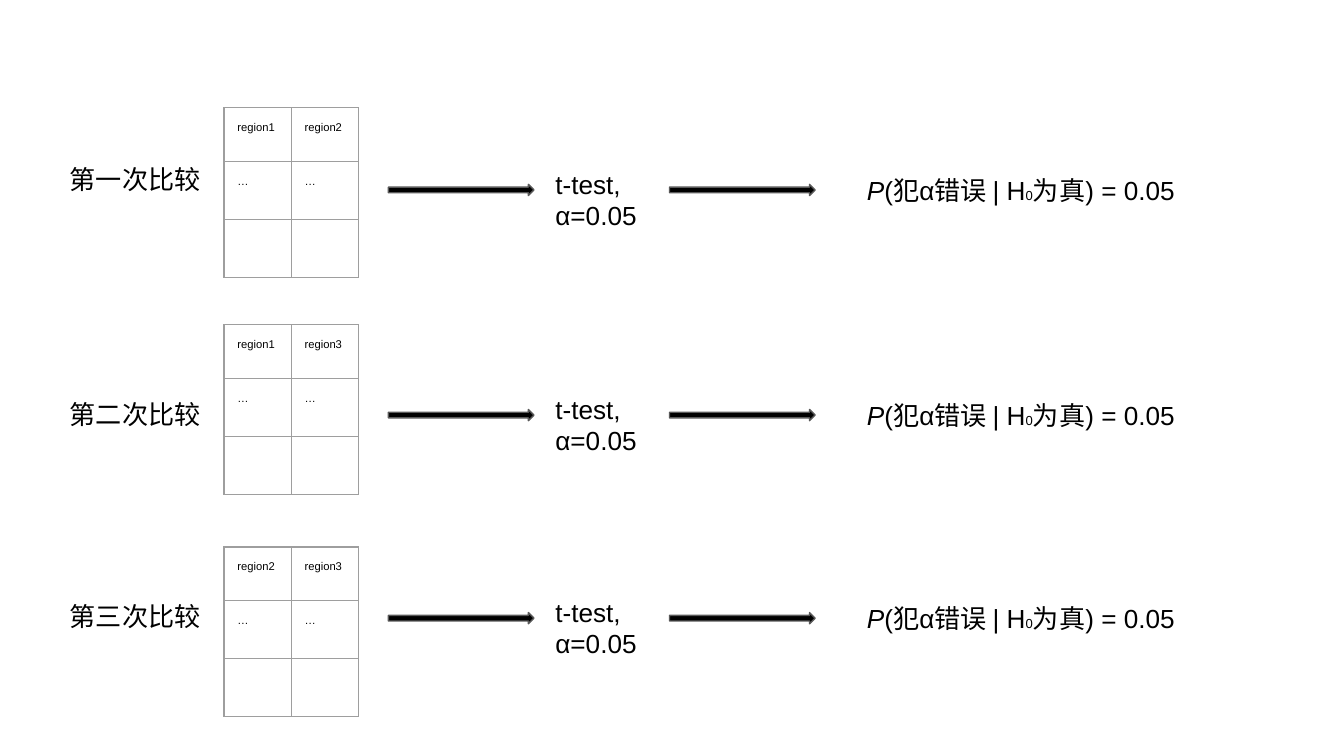
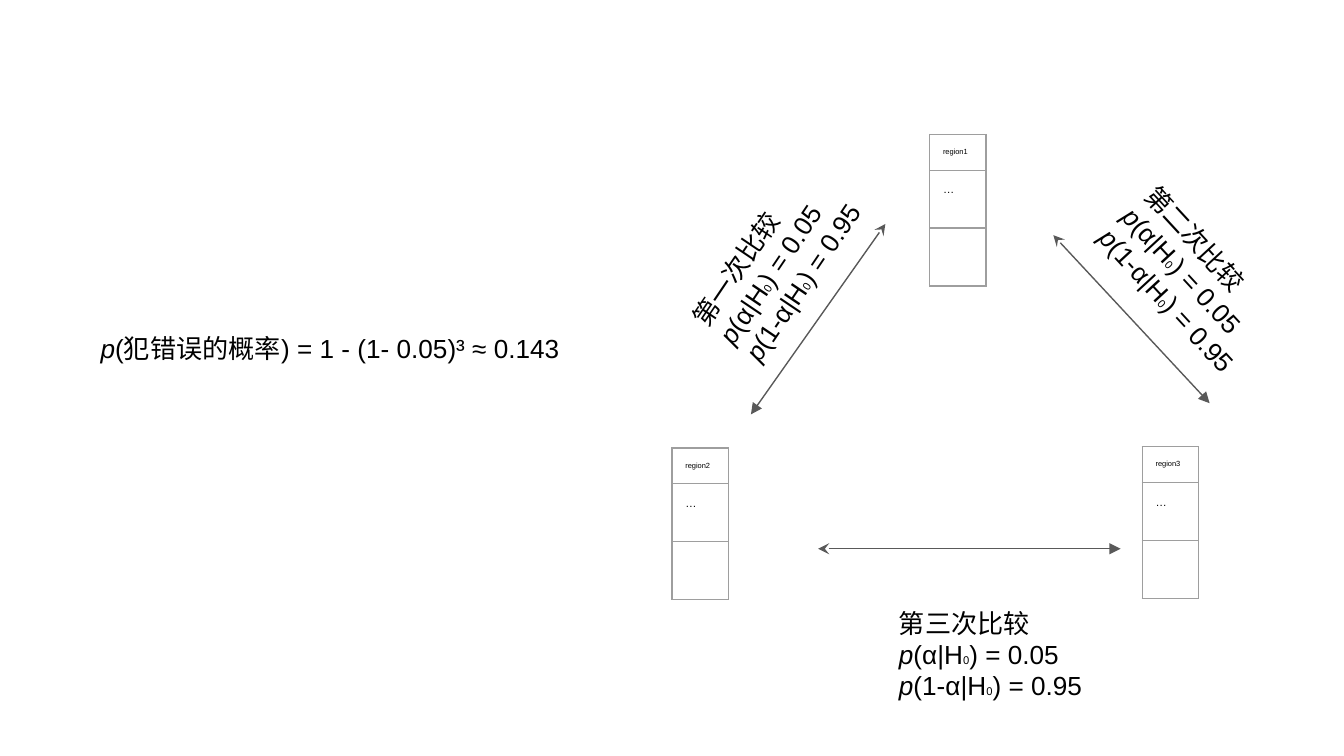
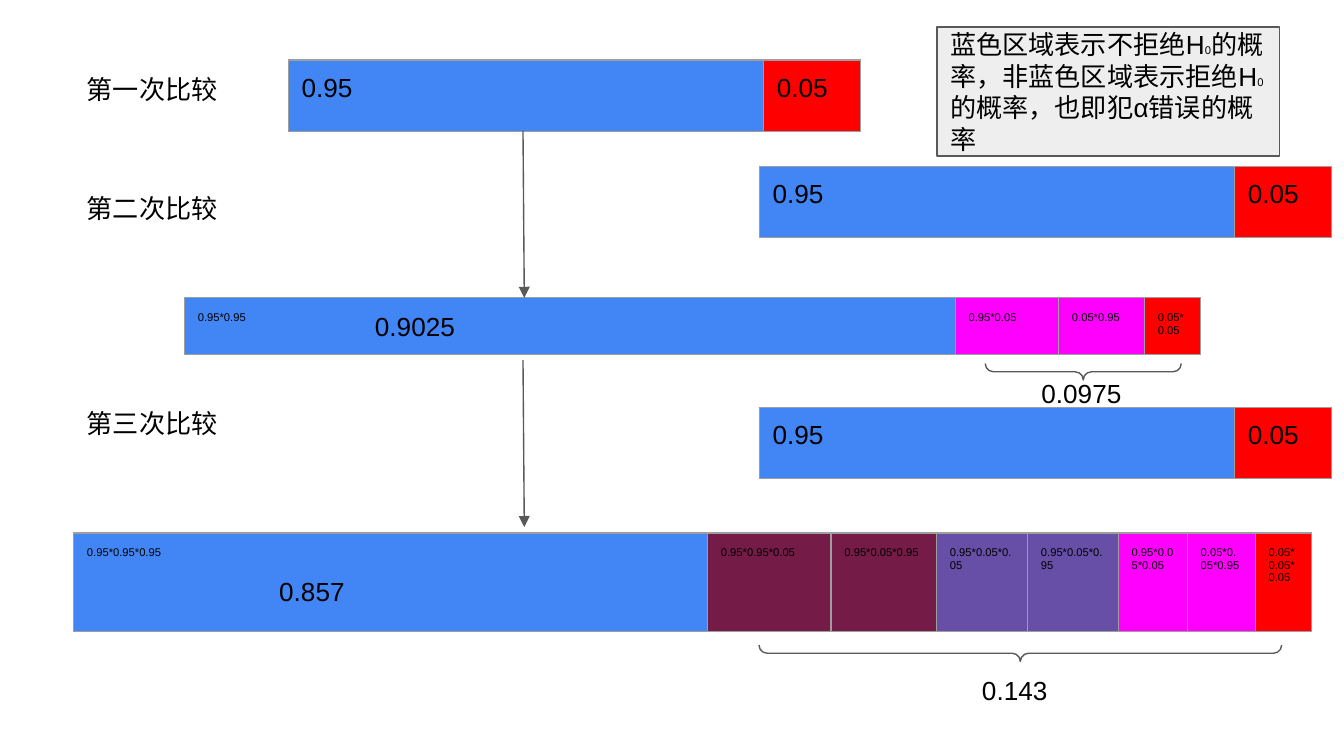
"""Build three slides on error probability in repeated comparisons."""
from itertools import groupby
from typing import NamedTuple

from lxml import etree
from pptx import Presentation
from pptx.dml.color import RGBColor
from pptx.enum.shapes import MSO_CONNECTOR, MSO_SHAPE
from pptx.enum.text import MSO_ANCHOR, PP_ALIGN
from pptx.oxml.ns import qn
from pptx.util import Pt

RECTANGLE = MSO_SHAPE.RECTANGLE
RIGHT_ARROW = MSO_SHAPE.RIGHT_ARROW
RIGHT_BRACE = MSO_SHAPE.RIGHT_BRACE
STRAIGHT = MSO_CONNECTOR.STRAIGHT
TOP, MIDDLE = MSO_ANCHOR.TOP, MSO_ANCHOR.MIDDLE
LEFT = PP_ALIGN.LEFT

BLACK = RGBColor(0x00, 0x00, 0x00)
OUTLINE = RGBColor(0x59, 0x59, 0x59)
BORDER = RGBColor(0x9E, 0x9E, 0x9E)
PANEL = RGBColor(0xEE, 0xEE, 0xEE)
BLUE = RGBColor(0x42, 0x85, 0xF4)
RED = RGBColor(0xFF, 0x00, 0x00)
MAGENTA = RGBColor(0xFF, 0x00, 0xFF)
PLUM = RGBColor(0x74, 0x1B, 0x47)
VIOLET = RGBColor(0x67, 0x4E, 0xA7)

LATIN_FONT, CHINESE_FONT = "Arial", "Noto Sans CJK SC"
BODY, SMALL, TINY = 14, 6, 4
INSET = 7.2
LINE_WIDTH = 0.75
TABLE_FRAME = 236.2
LABELS = ("第一次比较", "第二次比较", "第三次比较")


class Run(NamedTuple):
    """A stretch of text with one size and slant."""
    text: str
    size: float = BODY
    italic: bool = False


def is_chinese(character):
    """Tell whether a character needs the Chinese font."""
    return ord(character) > 0x2E80


def write(frame, *paragraphs, inset=INSET, anchor=TOP):
    """Fill a text frame with paragraphs, each a list of runs."""
    frame.word_wrap = True
    frame.vertical_anchor = anchor
    frame.margin_left = frame.margin_right = Pt(inset)
    frame.margin_top = frame.margin_bottom = Pt(inset)
    for index, runs in enumerate(paragraphs):
        paragraph = frame.add_paragraph() if index else frame.paragraphs[0]
        paragraph.alignment = LEFT
        for part in runs:
            for chinese, letters in groupby(part.text, is_chinese):
                run = paragraph.add_run()
                run.text = "".join(letters)
                font = run.font
                font.size, font.italic = Pt(part.size), part.italic
                font.color.rgb = BLACK
                font.name = CHINESE_FONT if chinese else LATIN_FONT
                if chinese:
                    east_asian = etree.SubElement(font._element, qn("a:ea"))
                    east_asian.set("typeface", CHINESE_FONT)


def add_text(slide, box, *paragraphs, rotation=0):
    """Add a text box at a left, top, width, height box."""
    text_box = slide.shapes.add_textbox(*map(Pt, box))
    text_box.rotation = rotation
    write(text_box.text_frame, *paragraphs)


def add_shape(slide, kind, box, fill=None, rotation=0):
    """Add a preset shape with the shared outline."""
    shape = slide.shapes.add_shape(kind, *map(Pt, box))
    shape.shadow.inherit = False
    shape.rotation = rotation
    shape.line.color.rgb = OUTLINE
    shape.line.width = Pt(LINE_WIDTH)
    if fill is None:
        shape.fill.background()
    else:
        shape.fill.solid()
        shape.fill.fore_color.rgb = fill
    return shape


def add_line(slide, start, end, head="none"):
    """Add a straight line that ends in a triangle."""
    line = slide.shapes.add_connector(STRAIGHT, *map(Pt, start + end))
    line.line.color.rgb = OUTLINE
    line.line.width = Pt(LINE_WIDTH)
    properties = line._element.spPr
    stroke = properties.find(qn("a:ln"))
    for tag, kind in (("a:headEnd", head), ("a:tailEnd", "triangle")):
        etree.SubElement(stroke, qn(tag)).set("type", kind)
    etree.SubElement(properties, qn("a:effectLst"))


def style_cell(cell, fill=None):
    """Give a cell thin grey borders and its fill."""
    properties = cell._tc.get_or_add_tcPr()
    for side in ("a:lnL", "a:lnR", "a:lnT", "a:lnB"):
        border = etree.SubElement(properties, qn(side), w=str(Pt(LINE_WIDTH)))
        solid = etree.SubElement(border, qn("a:solidFill"))
        etree.SubElement(solid, qn("a:srgbClr"), val=str(BORDER))
    if fill is None:
        cell.fill.background()
    else:
        cell.fill.solid()
        cell.fill.fore_color.rgb = fill


def write_cell(cell, text, size):
    """Write a cell, dropping the margins when it is empty."""
    inset = INSET if text else 0
    cell.margin_left = cell.margin_right = Pt(inset)
    cell.margin_top = cell.margin_bottom = Pt(inset)
    if text:
        write(cell.text_frame, [Run(text, size)])


def add_table(slide, left, top, widths, heights, rows, sizes, fills=None):
    """Add a table with one text size per row and one fill per column."""
    frame = slide.shapes.add_table(
        len(heights), len(widths), Pt(left), Pt(top), Pt(sum(widths)), Pt(sum(heights)))
    table = frame.table
    table.first_row = table.horz_banding = False
    for column, width in zip(table.columns, widths):
        column.width = Pt(width)
    for row_index, (height, texts, size) in enumerate(zip(heights, rows, sizes)):
        table.rows[row_index].height = Pt(height)
        for column_index, text in enumerate(texts):
            cell = table.cell(row_index, column_index)
            write_cell(cell, text, size)
            style_cell(cell, fills[column_index] if fills else None)
    frame.width = frame.height = Pt(TABLE_FRAME)


def add_regions(slide, left, top, names, width, header_height, header_size):
    """Add a small table with one column per region."""
    count = len(names)
    add_table(slide, left, top, [width] * count, [header_height, 31, 31],
              [names, ["…"] * count, [""] * count], [header_size, SMALL, SMALL])


def add_test_row(slide, label, regions, left, top, label_top, table_top):
    """Add one comparison: label, data, test and error probability."""
    add_text(slide, (left + 0.3, label_top, 96, 32), [Run(label)])
    add_regions(slide, left + 90, table_top, regions, 36, 28.8, SMALL)
    for offset in (178.1, 328.7):
        add_shape(slide, RIGHT_ARROW, (left + offset, top, 78, 6), BLACK)
    add_text(slide, (left + 260.4, top - 15.9, 68.4, 48), [Run("t-test, α=0.05")])
    add_text(slide, (left + 427.3, top - 12.5, 203, 32),
             [Run("P", italic=True), Run("(犯α错误 | H"), Run("0", 7), Run("为真) = 0.05")])


def add_comparison_note(slide, label, box, rotation=0):
    """Add a comparison label with its two probabilities."""
    formulas = [[Run("p", italic=True), Run(f"({event}|H"), Run("0", SMALL),
                 Run(f") = {value}")]
                for event, value in (("α", "0.05"), ("1-α", "0.95"))]
    add_text(slide, box, [Run(label)], *formulas, rotation=rotation)


def add_bar(slide, left, top, height, segments, size):
    """Add a one-row probability bar of (text, width, fill) segments."""
    texts, widths, fills = zip(*segments)
    add_table(slide, left, top, widths, [height], [texts], [size], fills)


def add_brace(slide, left, top, width, height):
    """Add a brace that points down from under a bar."""
    box = (left + (width - height) / 2, top - (width - height) / 2, height, width)
    brace = add_shape(slide, RIGHT_BRACE, box, rotation=90)
    brace.adjustments[0] = brace.adjustments[1] = 0.5


def build_tests(slide):
    """Show three separate tests."""
    pairs = (("region1", "region2"), ("region1", "region3"), ("region2", "region3"))
    tops = ((98.8, 80.2, 57.8), (219.4, 206.3, 174), (328.2, 314.4, 293))
    for label, pair, (top, label_top, table_top) in zip(LABELS, pairs, tops):
        add_test_row(slide, label, pair, 30, top, label_top, table_top)


def build_triangle(slide):
    """Show three regions compared pairwise."""
    for name, left, top in (("region1", 498, 72), ("region2", 360, 240),
                            ("region3", 611.9, 239.3)):
        add_regions(slide, left, top, [name], 30.2, 19.2, TINY)
    notes = (((357.8, 105.3, 121.7, 65.5), 304), ((577.2, 126, 136.8, 65.5), 47.4),
             ((474.5, 318, 132.5, 65.5), 0))
    for label, (box, rotation) in zip(LABELS, notes):
        add_comparison_note(slide, label, box, rotation)
    for start, end in (((474.3, 120), (402.3, 222)), ((564.3, 126), (648, 216)),
                       ((438.3, 294), (600.3, 294))):
        add_line(slide, start, end, head="stealth")
    add_text(slide, (46.8, 171, 276, 32),
             [Run("p", italic=True), Run("(犯错误的概率) = 1 - (1- 0.05)³ ≈ 0.143")])


def build_bars(slide):
    """Show how the chance of an error grows with each comparison."""
    single = [("0.95", 254.6, BLUE), ("0.05", 52, RED)]
    for label, label_top, left, top in zip(
            LABELS, (32, 96, 211), (154.4, 406.7, 406.7), (32.1, 89.2, 218.3)):
        add_text(slide, (39.4, label_top, 96.5, 32), [Run(label)])
        add_bar(slide, left, top, 38.2, single, BODY)
    add_bar(slide, 98.8, 159.6, 30.2, [
        ("0.95*0.95", 412.9, BLUE), ("0.95*0.05", 55.4, MAGENTA),
        ("0.05*0.95", 46, MAGENTA), ("0.05*0.05", 30.2, RED)], SMALL)
    add_bar(slide, 39.4, 285.6, 52.6, [
        ("0.95*0.95*0.95", 339.6, BLUE), ("0.95*0.95*0.05", 66.2, PLUM),
        ("0.95*0.05*0.95", 56.5, PLUM), ("0.95*0.05*0.05", 48.8, VIOLET),
        ("0.95*0.05*0.95", 48.6, VIOLET), ("0.95*0.05*0.05", 37, MAGENTA),
        ("0.05*0.05*0.95", 36.4, MAGENTA), ("0.05*0.05*0.05", 30, RED)], SMALL)
    for text, left, top, width in (("0.857", 142.5, 301, 122), ("0.143", 519, 354, 122),
                                   ("0.9025", 193.8, 159, 122), ("0.0975", 550.8, 194.8, 65)):
        add_text(slide, (left, top, width, 32), [Run(text)])
    add_brace(slide, 527.8, 194.8, 105, 8.8)
    add_brace(slide, 406.6, 345.6, 280, 8.8)
    for top, bottom in ((70, 159.6), (193, 282.4)):
        add_line(slide, (280.2, top), (280.9, bottom))
    legend = add_shape(slide, RECTANGLE, (501.9, 14.5, 183.6, 69.1), PANEL)
    write(legend.text_frame,
          [Run("蓝色区域表示不拒绝H"), Run("0", SMALL), Run("的概率，非蓝色区域表示拒绝H"),
           Run("0", SMALL), Run("的概率，也即犯α错误的概率")], anchor=MIDDLE)


def main():
    """Build and save the presentation."""
    presentation = Presentation()
    presentation.slide_width, presentation.slide_height = Pt(720), Pt(405)
    for build in (build_tests, build_triangle, build_bars):
        build(presentation.slides.add_slide(presentation.slide_layouts[6]))
    presentation.save("out.pptx")


if __name__ == "__main__":
    main()
